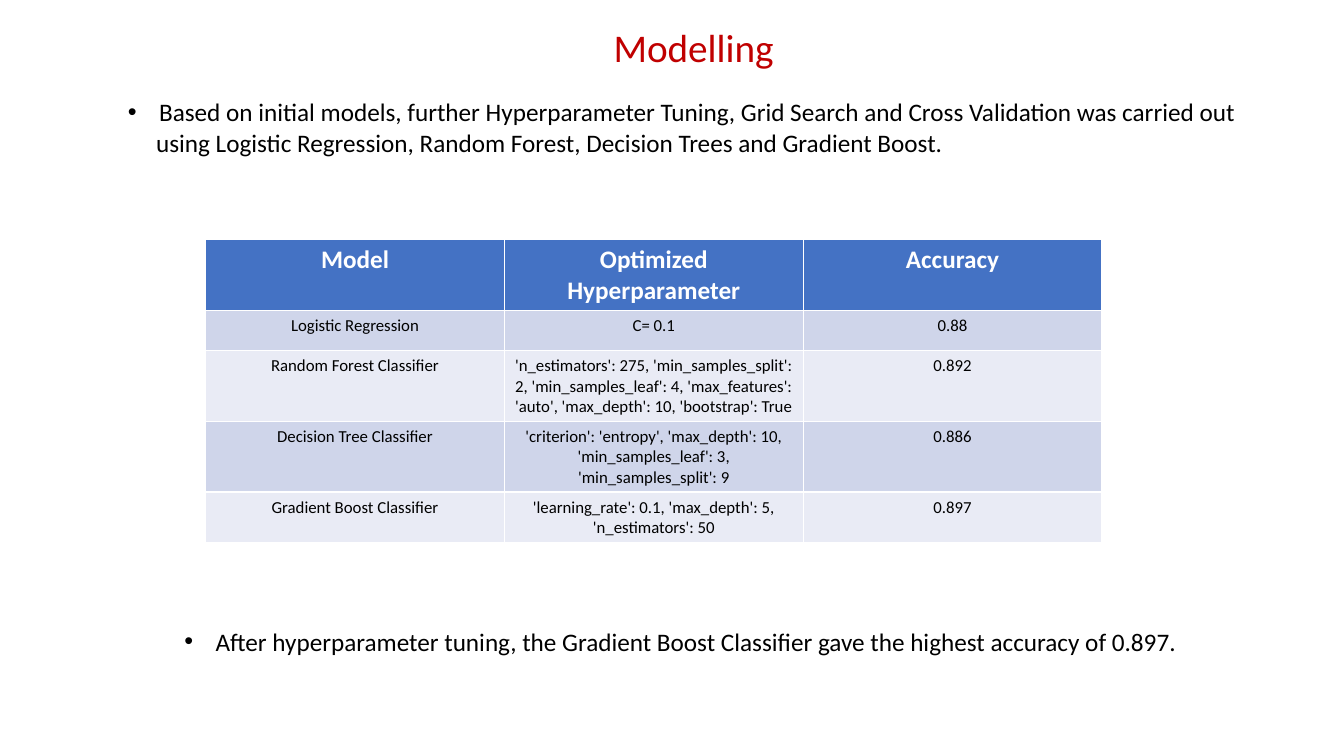
from typing import NamedTuple

from lxml import etree
from pptx import Presentation
from pptx.dml.color import RGBColor
from pptx.enum import text as t
from pptx.oxml import ns
from pptx.util import Inches, Pt

FONT = "Calibri"
BLACK = RGBColor(0x00, 0x00, 0x00)
WHITE = RGBColor(0xFF, 0xFF, 0xFF)
TITLE_RED = RGBColor(0xC0, 0x00, 0x00)
HEADER_BLUE = RGBColor(0x44, 0x72, 0xC4)
BAND_FILLS = (RGBColor(0xCF, 0xD5, 0xEA), RGBColor(0xE9, 0xEB, 0xF5))
BULLET_INDENT = Inches(0.31)
CONTINUATION_INDENT = Inches(0.28)


class Box(NamedTuple):
    """Place and size in inches."""
    left: float
    top: float
    width: float
    height: float

    def lengths(self) -> list:
        """Return the four values as lengths."""
        return [Inches(value) for value in self]


class ModelResult(NamedTuple):
    """One table row with its height in inches."""
    model: str
    hyperparameters: str
    accuracy: str
    height: float


HEADER = ModelResult("Model", "Optimized Hyperparameter", "Accuracy", 0.7)
RESULTS = [
    ModelResult("Logistic Regression", "C= 0.1", "0.88", 0.4),
    ModelResult(
        "Random Forest Classifier",
        "'n_estimators': 275, 'min_samples_split': 2, 'min_samples_leaf': 4, "
        "'max_features': 'auto', 'max_depth': 10, 'bootstrap': True",
        "0.892", 0.7),
    ModelResult(
        "Decision Tree Classifier",
        "'criterion': 'entropy', 'max_depth': 10, 'min_samples_leaf': 3, "
        "'min_samples_split': 9",
        "0.886", 0.7),
    ModelResult(
        "Gradient Boost Classifier",
        "'learning_rate': 0.1, 'max_depth': 5, 'n_estimators': 50",
        "0.897", 0.5),
]


def write(paragraph, content: str, *, size: float = 18, color: RGBColor = BLACK,
          bold: bool = False, align=t.PP_ALIGN.LEFT) -> None:
    """Put formatted text in a paragraph."""
    paragraph.alignment = align
    run = paragraph.add_run()
    run.text = content
    run.font.name, run.font.size, run.font.bold = FONT, Pt(size), bold
    run.font.color.rgb = color


def add_bullet(paragraph) -> None:
    """Give a paragraph a hanging round bullet."""
    properties = paragraph._p.get_or_add_pPr()
    properties.set("marL", str(BULLET_INDENT))
    properties.set("indent", str(-BULLET_INDENT))
    etree.SubElement(properties, ns.qn("a:buFont"), typeface="Arial")
    etree.SubElement(properties, ns.qn("a:buChar"), char="•")


def add_statement(slide, box: Box, first_line: str, *continuations: str) -> None:
    """Add a bulleted statement and its indented continuation lines."""
    frame = slide.shapes.add_textbox(*box.lengths()).text_frame
    frame.word_wrap = True
    write(frame.paragraphs[0], first_line)
    add_bullet(frame.paragraphs[0])
    for line in continuations:
        paragraph = frame.add_paragraph()
        write(paragraph, line)
        paragraph._p.get_or_add_pPr().set("marL", str(CONTINUATION_INDENT))


def add_title(slide, box: Box, content: str) -> None:
    """Move the title placeholder and fill it."""
    title = slide.shapes.title
    title.left, title.top, title.width, title.height = box.lengths()
    frame = title.text_frame
    frame.vertical_anchor = t.MSO_ANCHOR.MIDDLE
    heading = frame.paragraphs[0]
    heading.line_spacing, heading.space_before = 0.8, Pt(10)
    write(heading, content, size=28, color=TITLE_RED, align=t.PP_ALIGN.CENTER)


def add_results_table(slide, box: Box) -> None:
    """Add the header and one banded row for each model."""
    rows = [HEADER, *RESULTS]
    table = slide.shapes.add_table(len(rows), 3, *box.lengths()).table
    for index, result in enumerate(rows):
        is_header = index == 0
        table.rows[index].height = Inches(result.height)
        for cell, content in zip(table.rows[index].cells, result[:3]):
            cell.fill.solid()
            cell.fill.fore_color.rgb = (
                HEADER_BLUE if is_header else BAND_FILLS[(index - 1) % 2])
            write(cell.text_frame.paragraphs[0], content,
                  size=18 if is_header else 12,
                  color=WHITE if is_header else BLACK,
                  bold=is_header, align=t.PP_ALIGN.CENTER)


def main() -> None:
    """Build and save the slide."""
    deck = Presentation()
    deck.slide_width, deck.slide_height = Inches(13.33), Inches(7.5)
    slide = deck.slides.add_slide(deck.slide_layouts.get_by_name("Title Only"))
    add_title(slide, Box(1.88, 0.26, 10, 0.5), "Modelling")
    add_statement(
        slide, Box(1.17, 0.91, 11.3, 0.71),
        "Based on initial models, further Hyperparameter Tuning, Grid Search "
        "and Cross Validation was carried out",
        "using Logistic Regression, Random Forest, Decision Trees and Gradient Boost.")
    add_results_table(slide, Box(2.04, 2.38, 8.89, 3))
    add_statement(
        slide, Box(1.73, 6.16, 10.1, 0.4),
        "After hyperparameter tuning, the Gradient Boost Classifier gave the "
        "highest accuracy of 0.897.")
    deck.save("out.pptx")


main()
